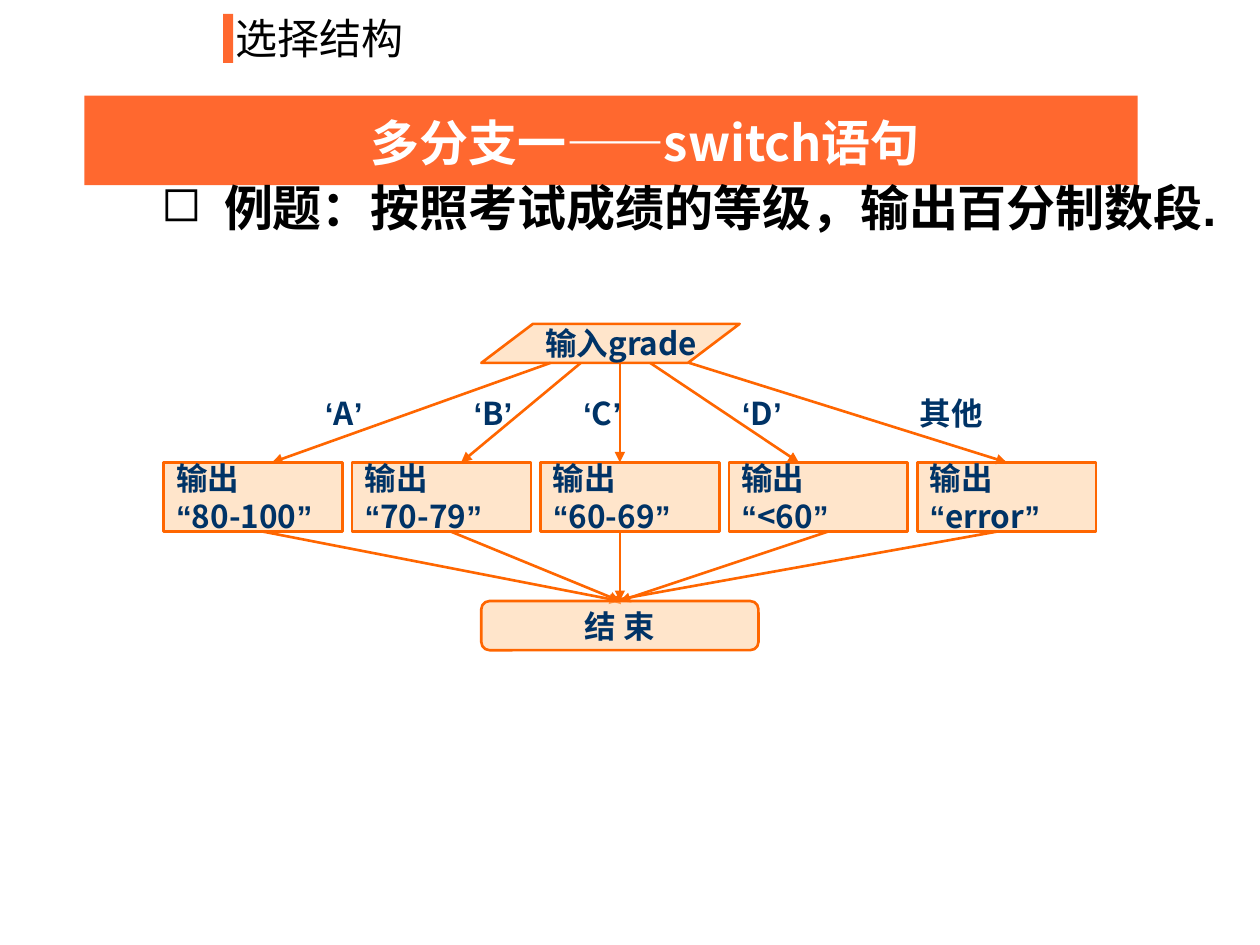
from dataclasses import dataclass

from lxml.etree import SubElement
from pptx import Presentation
from pptx.dml.color import RGBColor
from pptx.enum.shapes import MSO_CONNECTOR, MSO_SHAPE
from pptx.enum.text import MSO_ANCHOR, MSO_AUTO_SIZE, PP_ALIGN
from pptx.oxml.ns import qn
from pptx.util import Inches, Pt


@dataclass(frozen=True)
class Theme:
    accent: RGBColor = RGBColor(0xFF, 0x68, 0x2F)
    outline: RGBColor = RGBColor(0xFF, 0x66, 0x00)
    node: RGBColor = RGBColor(0xFF, 0xCC, 0x99)
    node_text: RGBColor = RGBColor(0x00, 0x33, 0x66)
    black: RGBColor = RGBColor(0, 0, 0)
    white: RGBColor = RGBColor(0xFF, 0xFF, 0xFF)
    font: str = "Noto Sans CJK SC"
    latin: str = "Arial"
    title: int = 24
    heading: int = 28
    label: int = 18
    stroke: float = 1.5


THEME = Theme()


def quoted(text, marks):
    """Split a quoted text into runs, with the marks in the Latin font."""
    return [(marks[0], THEME.latin), (text, THEME.font), (marks[1], THEME.latin)]


def write(shape, *paragraphs, size=THEME.label, color=THEME.node_text, bold=True,
          align=PP_ALIGN.LEFT, anchor=MSO_ANCHOR.MIDDLE, wrap=False, bullet=None):
    """Fill a shape with paragraphs, each a string or a list of (text, font)."""
    frame = shape.text_frame
    frame.auto_size = MSO_AUTO_SIZE.NONE
    frame.word_wrap = wrap
    frame.vertical_anchor = anchor
    for index, content in enumerate(paragraphs):
        paragraph = frame.add_paragraph() if index else frame.paragraphs[0]
        paragraph.alignment = align
        if bullet:
            properties = paragraph._p.get_or_add_pPr()
            properties.set("marL", str(Inches(1.5)))
            properties.set("indent", str(Inches(-0.5)))
            SubElement(properties, qn("a:buChar"), char=bullet)
        runs = [(content, THEME.font)] if isinstance(content, str) else content
        for text, typeface in runs:
            run = paragraph.add_run()
            run.text = text
            run.font.size = Pt(size)
            run.font.bold = bold
            run.font.color.rgb = color
            run.font.name = typeface
            SubElement(run._r.get_or_add_rPr(), qn("a:ea"), typeface=THEME.font)


def add_text(slide, left, top, width, height, *paragraphs, **text_format):
    box = slide.shapes.add_textbox(
        Inches(left), Inches(top), Inches(width), Inches(height))
    write(box, *paragraphs, **text_format)


def add_block(slide, kind, left, top, width, height, fill):
    block = slide.shapes.add_shape(
        kind, Inches(left), Inches(top), Inches(width), Inches(height))
    block.shadow.inherit = False
    block.fill.solid()
    block.fill.fore_color.rgb = fill
    block.line.fill.background()
    return block


def add_node(slide, kind, left, top, width, height, *paragraphs, **text_format):
    """Add a half-transparent, outlined flowchart step."""
    node = add_block(slide, kind, left, top, width, height, THEME.node)
    color = node.fill._xPr.find(qn("a:solidFill"))[0]
    SubElement(color, qn("a:alpha"), val="50000")
    node.line.color.rgb = THEME.outline
    node.line.width = Pt(THEME.stroke)
    write(node, *paragraphs, **text_format)


def add_arrow(slide, start_x, start_y, end_x, end_y):
    arrow = slide.shapes.add_connector(
        MSO_CONNECTOR.STRAIGHT,
        Inches(start_x), Inches(start_y), Inches(end_x), Inches(end_y))
    arrow.line.color.rgb = THEME.outline
    arrow.line.width = Pt(THEME.stroke)
    SubElement(arrow.line._get_or_add_ln(), qn("a:tailEnd"), type="triangle")
    SubElement(arrow._element.spPr, qn("a:effectLst"))


def add_headings(slide):
    title = slide.shapes.title
    title.left, title.top = Inches(1.77), Inches(0.05)
    title.width, title.height = Inches(2.58), Inches(0.5)
    write(title, "选择结构", size=THEME.title, color=THEME.black, bold=False,
          anchor=MSO_ANCHOR.TOP, wrap=True)
    add_block(slide, MSO_SHAPE.RECTANGLE, 1.77, 0.11, 0.08, 0.39, THEME.accent)
    add_block(slide, MSO_SHAPE.RECTANGLE, 0.67, 0.76, 8.36, 0.71, THEME.accent)
    add_text(slide, 1.3, 0.84, 7.64, 1.04, "多分支一——switch语句",
             size=THEME.heading, color=THEME.white, align=PP_ALIGN.CENTER,
             anchor=MSO_ANCHOR.TOP, wrap=True)
    example = [("例题：", THEME.font),
               ("按照考试成绩的等级，输出百分制数段.", THEME.latin)]
    add_text(slide, 0.18, 1.36, 9.8, 5.91, example, size=THEME.heading,
             color=THEME.black, anchor=MSO_ANCHOR.TOP, wrap=True, bullet="◻")


def add_flowchart(slide):
    input_bottom, branch_top, branch_bottom, end_top = 2.88, 3.67, 4.22, 4.77
    first_left, branch_step = 1.3, (7.28 - 1.3) / 4

    # Output, case label and its left, arrow in (from, to), arrow out (from, to)
    branches = [
        ("80-100", quoted("A", "‘’"), 2.48, (4.37, 2.16), (2.09, 4.92)),
        ("70-79", quoted("B", "‘’"), 3.66, (4.61, 3.66), (3.58, 4.92)),
        ("60-69", quoted("C", "‘’"), 4.53, (4.92, 4.92), (4.92, 4.92)),
        ("<60", quoted("D", "‘’"), 5.79, (5.16, 6.34), (6.57, 4.92)),
        ("error", "其他", 7.2, (5.47, 7.99), (7.91, 4.84)),
    ]

    add_node(slide, MSO_SHAPE.FLOWCHART_DATA, 3.82, 2.57, 2.05, 0.31, "输入grade")
    for index, (output, case, case_left, entry, leave) in enumerate(branches):
        add_node(slide, MSO_SHAPE.RECTANGLE, first_left + index * branch_step,
                 branch_top, 1.42, branch_bottom - branch_top,
                 "输出", quoted(output, "“”"))
        add_arrow(slide, entry[0], input_bottom, entry[1], branch_top)
        add_text(slide, case_left, 3.12, 0.39, 0.31, case)
        add_arrow(slide, leave[0], branch_bottom, leave[1], end_top)
    add_node(slide, MSO_SHAPE.FLOWCHART_ALTERNATE_PROCESS, 3.82, end_top, 2.2, 0.39,
             "结 束", align=PP_ALIGN.CENTER)


def main():
    deck = Presentation()
    deck.slide_width, deck.slide_height = Inches(10), Inches(7.5)
    slide = deck.slides.add_slide(deck.slide_layouts[5])
    add_headings(slide)
    add_flowchart(slide)
    deck.save("out.pptx")


if __name__ == "__main__":
    main()
